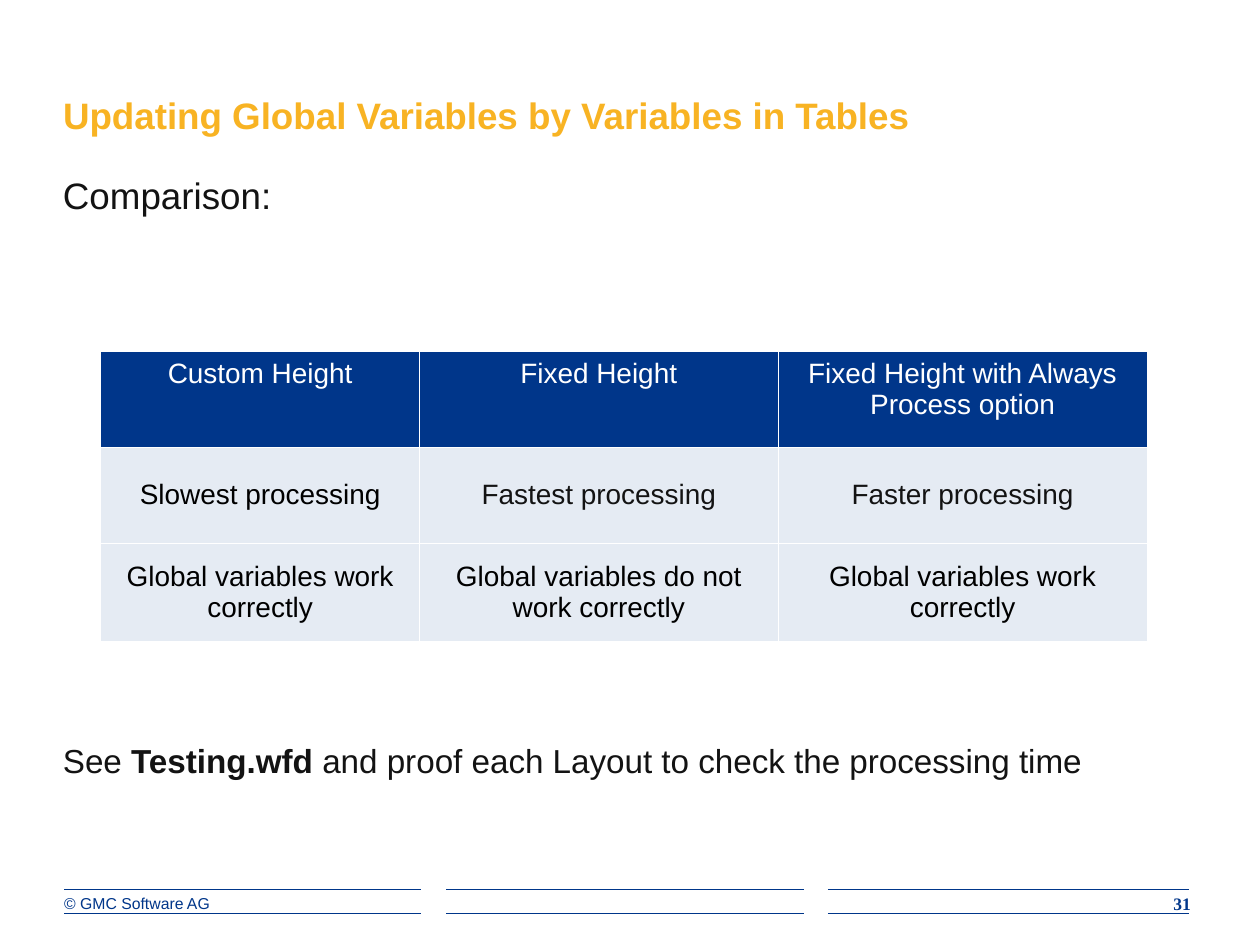
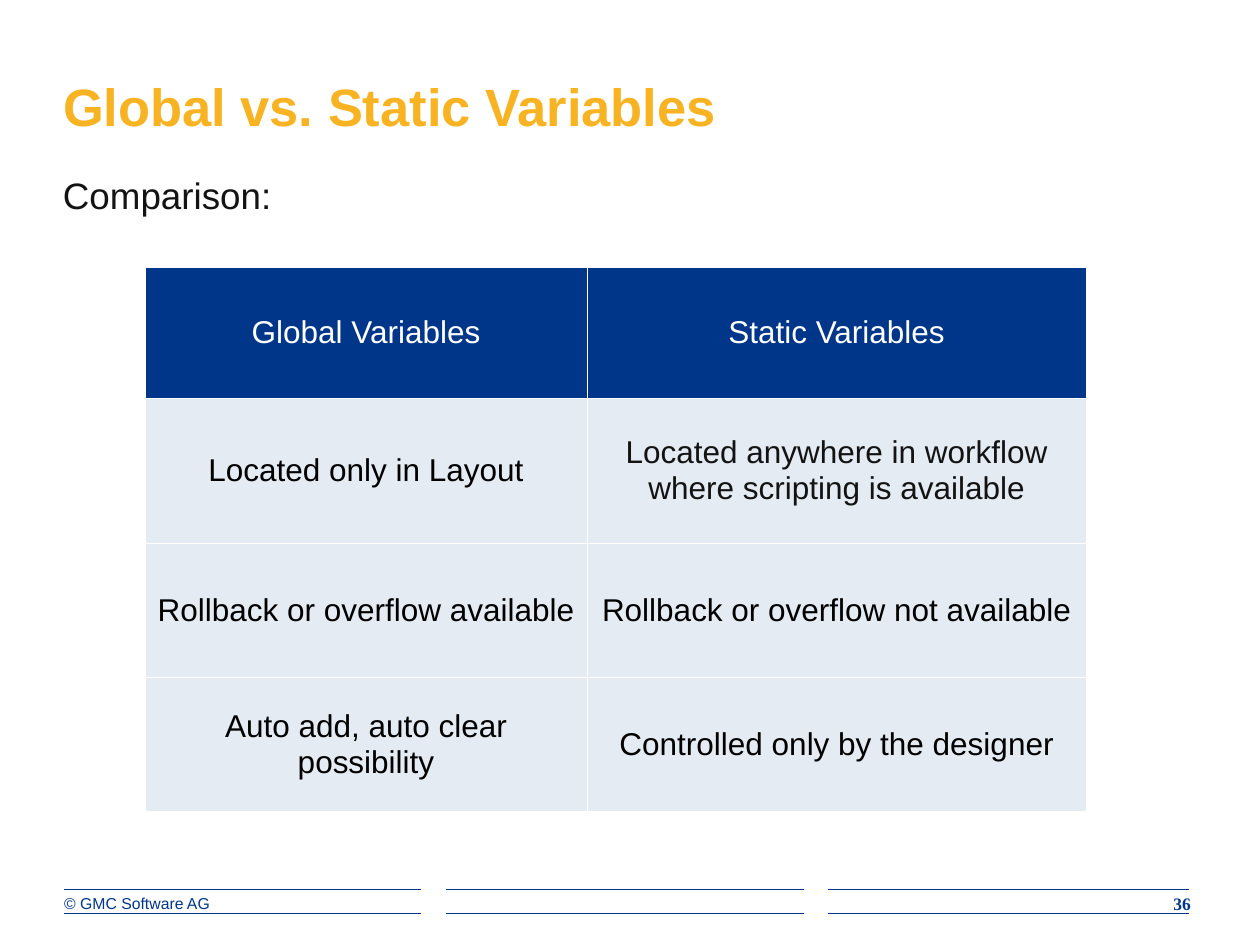
from lxml import etree
from pptx import Presentation
from pptx.dml.color import RGBColor
from pptx.enum import shapes, text
from pptx.oxml import ns
from pptx.util import Emu, Inches, Pt

NAVY = RGBColor(0x00, 0x36, 0x8A)
GOLD = RGBColor(0xF8, 0xB3, 0x23)
INK = RGBColor(0x13, 0x13, 0x13)
BLACK = RGBColor(0x00, 0x00, 0x00)
WHITE = RGBColor(0xFF, 0xFF, 0xFF)
PALE = RGBColor(0xE5, 0xEB, 0xF3)
LEFT, MID, RIGHT = text.PP_ALIGN.LEFT, text.PP_ALIGN.CENTER, text.PP_ALIGN.RIGHT

deck = Presentation()
deck.slide_width, deck.slide_height = Inches(10), Inches(7.5)
# The grid has 100 columns and 75 rows.
COL, ROW = deck.slide_width / 100, deck.slide_height / 75

RULES = [(5.1, 33.4), (35.4, 63.8), (65.7, 94.4)]
EDGES = [70.6, 72.5]

PAGES = [
    dict(
        num="31", title="Updating Global Variables by Variables in Tables", size=21,
        note=[("See ", False), ("Testing.wfd ", True),
              ("and proof each Layout to check the processing time", False)],
        spot=(8, 27.9), cols=[25.3, 28.45, 29.3], rows=[7.6, 7.6, 7.8],
        font=16, head=text.MSO_ANCHOR.TOP,
        cells=[
            ["Custom Height", "Fixed Height", "Fixed Height with Always Process option"],
            ["Slowest processing", "Fastest processing", "Faster processing"],
            ["Global variables work correctly", "Global variables do not work correctly",
             "Global variables work correctly"],
        ]),
    dict(
        num="36", title="Global vs. Static Variables", size=30, note=[],
        spot=(11.5, 21.2), cols=[35.1, 39.6], rows=[10.4, 11.5, 10.7, 10.6],
        font=18, head=text.MSO_ANCHOR.MIDDLE,
        cells=[
            ["Global Variables", "Static Variables"],
            ["Located only in Layout",
             "Located anywhere in workflow where scripting is available"],
            ["Rollback or overflow available", "Rollback or overflow not available"],
            ["Auto add, auto clear possibility", "Controlled only by the designer"],
        ]),
]


def grid(x, y, w, h):
    """Turn columns and rows into lengths."""
    return [Emu(round(n)) for n in (x * COL, y * ROW, w * COL, h * ROW)]


def style(par, size, color, bold=False, align=LEFT, name="Arial"):
    par.alignment = align
    font = par.font
    font.name, font.size, font.bold = name, Pt(size), bold
    font.color.rgb = color


for page in PAGES:
    slide = deck.slides.add_slide(deck.slide_layouts[6])

    for start, end in RULES:
        for y in EDGES:
            x, top, far, _ = grid(start, y, end, 0)
            rule = slide.shapes.add_connector(shapes.MSO_CONNECTOR.STRAIGHT, x, top, far, top)
            rule.line.color.rgb, rule.line.width = NAVY, Pt(0.5)
            etree.SubElement(rule._element.spPr, ns.qn("a:effectLst"))

    frames = []
    for words, box, look in [
        ("© GMC Software AG", (5.1, 70.9, 28.1, 2), (9, NAVY)),
        (page["title"], (5, 4.1, 68.2, 6.8), (page["size"], GOLD, True)),
        ("Comparison:", (5, 13.7, 89.6, 54.3), (21, INK)),
        (page["num"], (86.6, 70.9, 7.9, 2), (10, NAVY, True, RIGHT, "Times New Roman")),
    ]:
        frame = slide.shapes.add_textbox(*grid(*box)).text_frame
        frame.word_wrap = True
        frame.margin_left = frame.margin_right = frame.margin_top = frame.margin_bottom = 0
        frame.text = words
        style(frame.paragraphs[0], *look)
        frames.append(frame)
    _, title, body, _ = frames
    title.vertical_anchor = text.MSO_ANCHOR.BOTTOM

    if page["note"]:
        par = body.add_paragraph()
        par.space_before = Pt(299)
        style(par, 19, INK, None)
        for words, bold in page["note"]:
            run = par.add_run()
            run.text, run.font.bold = words, bold

    cols, rows, cells = page["cols"], page["rows"], page["cells"]
    table = slide.shapes.add_table(
        len(rows), len(cols), *grid(*page["spot"], sum(cols), sum(rows))).table
    for c, wide in enumerate(cols):
        table.columns[c].width = round(wide * COL)
    for r, high in enumerate(rows):
        table.rows[r].height = round(high * ROW)
        for c, words in enumerate(cells[r]):
            cell = table.cell(r, c)
            cell.text = words
            cell.margin_left = cell.margin_right = Inches(0.06)
            cell.margin_top = cell.margin_bottom = Inches(0.05)
            cell.vertical_anchor = text.MSO_ANCHOR.MIDDLE if r else page["head"]
            ink = WHITE if r == 0 else INK if r == 1 and c else BLACK
            style(cell.text_frame.paragraphs[0], page["font"], ink, align=MID)
            props = cell._tc.get_or_add_tcPr()
            for side in "LRTB":
                edge = etree.SubElement(props, ns.qn("a:ln" + side), w=str(Pt(0.45)))
                fill = etree.SubElement(edge, ns.qn("a:solidFill"))
                etree.SubElement(fill, ns.qn("a:srgbClr"), val=str(WHITE))
            cell.fill.solid()
            cell.fill.fore_color.rgb = PALE if r else NAVY

deck.save("out.pptx")
